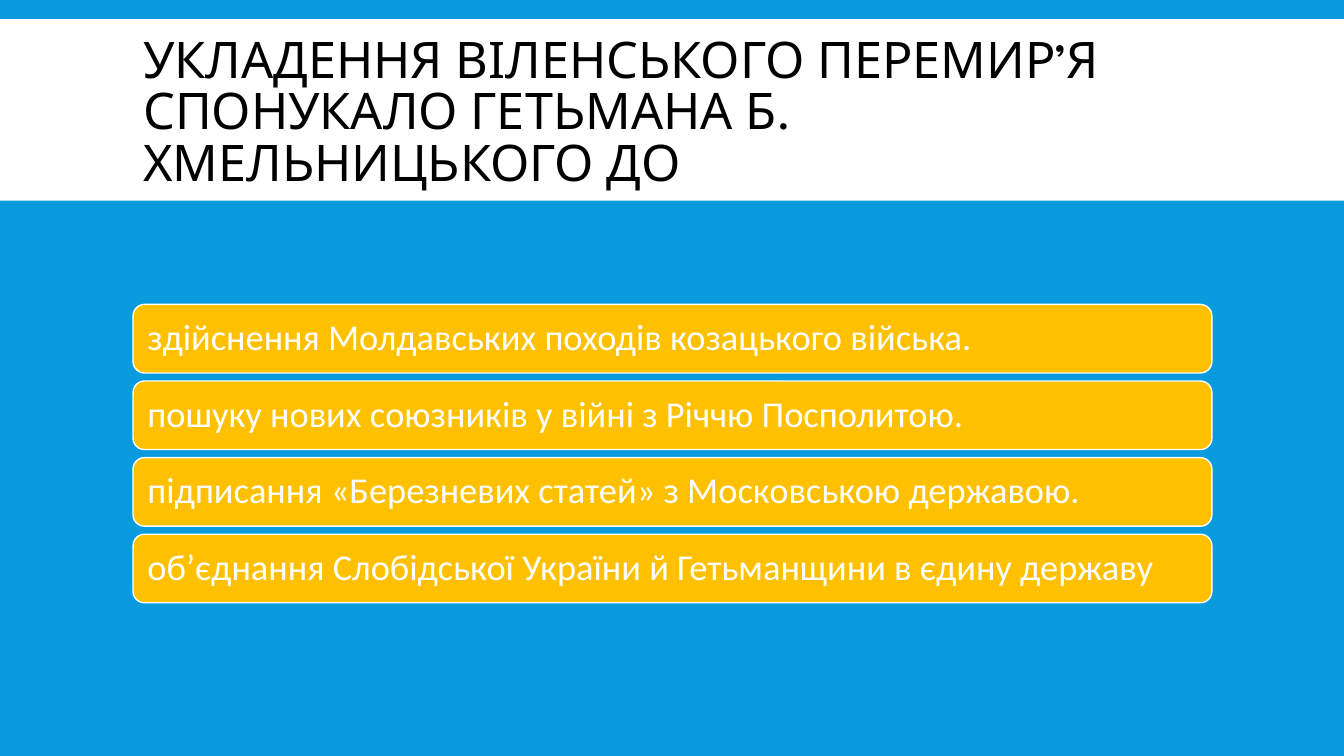
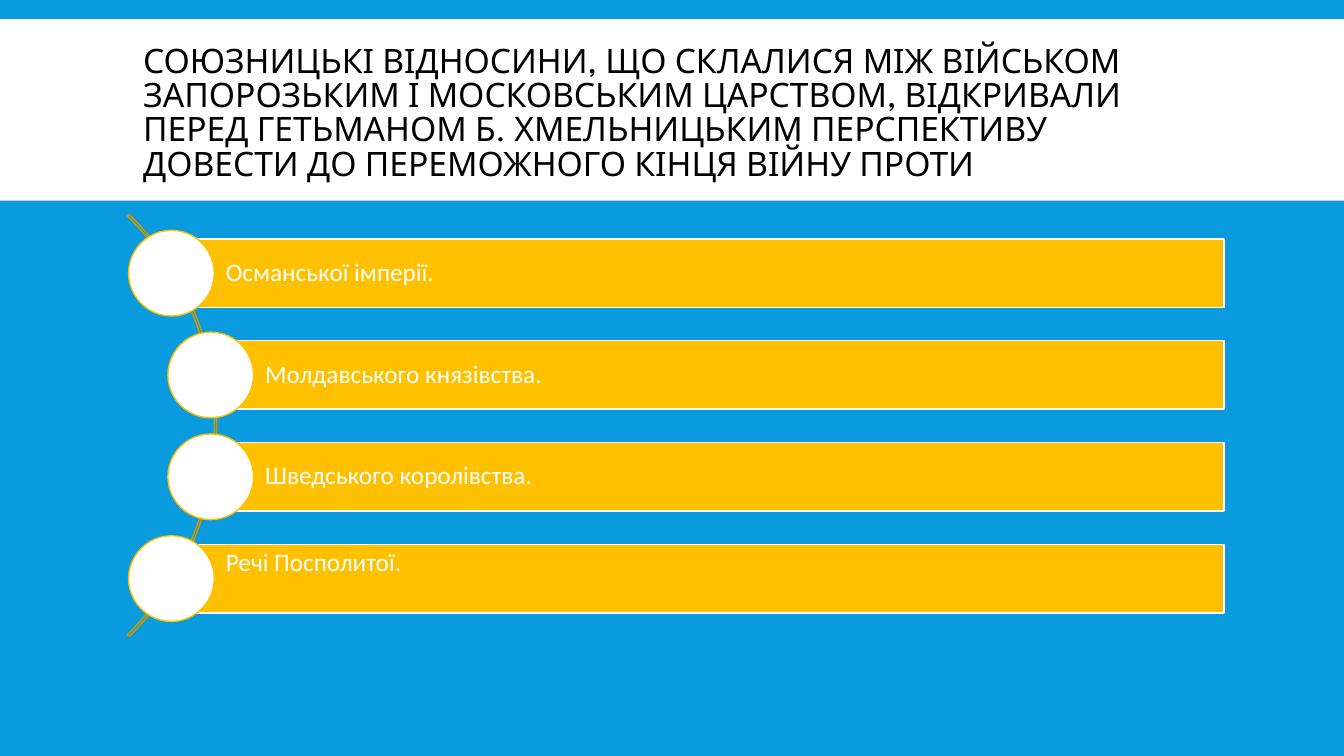
from pptx import Presentation
from pptx.dml.color import RGBColor
from pptx.enum.shapes import MSO_SHAPE
from pptx.enum.text import MSO_ANCHOR, MSO_AUTO_SIZE, PP_ALIGN
from pptx.util import Inches, Pt

RECT = MSO_SHAPE.RECTANGLE
ROUND = MSO_SHAPE.ROUNDED_RECTANGLE
OVAL = MSO_SHAPE.OVAL
ARC = MSO_SHAPE.BLOCK_ARC
MIDDLE, TOP = MSO_ANCHOR.MIDDLE, MSO_ANCHOR.TOP
LEFT = PP_ALIGN.LEFT
NO_FIT = MSO_AUTO_SIZE.NONE

BLUE, GOLD, DARK = "099BDD", "FFC000", "CC9A00"
WHITE, BLACK = "FFFFFF", "000000"
HEAD, BODY = "League Spartan", "Calibri"
WIDTH, HEIGHT = 13.33, 7.5


def color(code):
    return RGBColor.from_string(code)


class Deck:
    """Holds the shared style and the current slide."""

    def __init__(self):
        self.prs = Presentation()
        self.prs.slide_width = Inches(WIDTH)
        self.prs.slide_height = Inches(HEIGHT)
        back = self.prs.slide_master.background.fill
        back.solid()
        back.fore_color.rgb = color(BLUE)
        self.slide = None

    def start(self, text, size):
        """Add a slide with the white band and its title."""
        layout = self.prs.slide_layouts[5]
        self.slide = self.prs.slides.add_slide(layout)
        title = self.slide.shapes.title
        title.left, title.top = Inches(1.32), Inches(0.31)
        title.width, title.height = Inches(10.7), Inches(1.65)
        self.label(title, text, size, HEAD, BLACK, 0.85)
        band = self.shape(RECT, 0, 0.19, WIDTH, 1.8, WHITE)
        title.element.addprevious(band.element)

    def shape(self, kind, x, y, w, h, fill=None, line=None):
        item = self.slide.shapes.add_shape(
            kind, Inches(x), Inches(y), Inches(w), Inches(h))
        item.shadow.inherit = False
        if fill:
            item.fill.solid()
            item.fill.fore_color.rgb = color(fill)
        else:
            item.fill.background()
        if line:
            item.line.color.rgb = color(line)
            item.line.width = Pt(1)
        else:
            item.line.fill.background()
        return item

    def label(self, item, text, size, face, ink, lines, anchor=MIDDLE):
        frame = item.text_frame
        frame.text = text
        frame.word_wrap = True
        frame.auto_size = NO_FIT
        frame.vertical_anchor = anchor
        para = frame.paragraphs[0]
        para.alignment = LEFT
        para.line_spacing = lines
        font = para.runs[0].font
        font.size, font.name = Pt(size), face
        font.color.rgb = color(ink)

    def bar(self, kind, x, y, w, text, size, pad, side, anchor=MIDDLE):
        """Gold bar with text; pad is the left inset, side the others."""
        item = self.shape(kind, x, y, w, 0.68, GOLD, WHITE)
        self.label(item, text, size, BODY, WHITE, 0.9, anchor)
        frame = item.text_frame
        frame.margin_left = Inches(pad)
        frame.margin_right = Inches(side)
        frame.margin_top = frame.margin_bottom = Inches(side)

    def dot(self, x, y):
        """White circle centred on a point."""
        size = 0.85
        self.shape(OVAL, x - size / 2, y - size / 2, size, size, WHITE, GOLD)

    def arc(self, x, y, size):
        """Thin arc from 315 to 45 degrees."""
        item = self.shape(ARC, x, y, size, size, line=DARK)
        for i, value in enumerate((189, 27, 0.004)):
            item.adjustments[i] = value


def main():
    deck = Deck()

    # Slide 1: stacked rounded bars
    deck.start("УКЛАДЕННЯ ВІЛЕНСЬКОГО ПЕРЕМИР’Я СПОНУКАЛО ГЕТЬМАНА "
               "Б. ХМЕЛЬНИЦЬКОГО ДО", 36)
    goals = (
        "здійснення Молдавських походів козацького війська.",
        "пошуку нових союзників у війні з Річчю Посполитою.",
        "підписання «Березневих статей» з Московською державою.",
        "об’єднання Слобідської України й Гетьманщини в єдину державу",
    )
    for i, text in enumerate(goals):
        deck.bar(ROUND, 1.32, 3.02 + 0.76 * i, 10.7, text, 26, 0.11, 0.11)

    # Slide 2: bars with circles along an arc
    deck.start("СОЮЗНИЦЬКІ ВІДНОСИНИ, ЩО СКЛАЛИСЯ МІЖ ВІЙСЬКОМ ЗАПОРОЗЬКИМ "
               "І МОСКОВСЬКИМ ЦАРСТВОМ, ВІДКРИВАЛИ ПЕРЕД ГЕТЬМАНОМ "
               "Б. ХМЕЛЬНИЦЬКИМ ПЕРСПЕКТИВУ ДОВЕСТИ ДО ПЕРЕМОЖНОГО КІНЦЯ "
               "ВІЙНУ ПРОТИ", 24)
    deck.arc(-3.77, 1.26, 5.92)
    right = 12.14
    foes = (
        (1.7, "Османської імперії.", MIDDLE),
        (2.09, "Молдавського князівства.", MIDDLE),
        (2.09, "Шведського королівства.", MIDDLE),
        (1.7, "Речі Посполитої.", TOP),
    )
    for i, (x, text, anchor) in enumerate(foes):
        y = 2.37 + 1.01 * i
        deck.bar(RECT, x, y, right - x, text, 18, 0.54, 0.05, anchor)
        deck.dot(x, y + 0.34)

    deck.prs.save("out.pptx")


if __name__ == "__main__":
    main()
